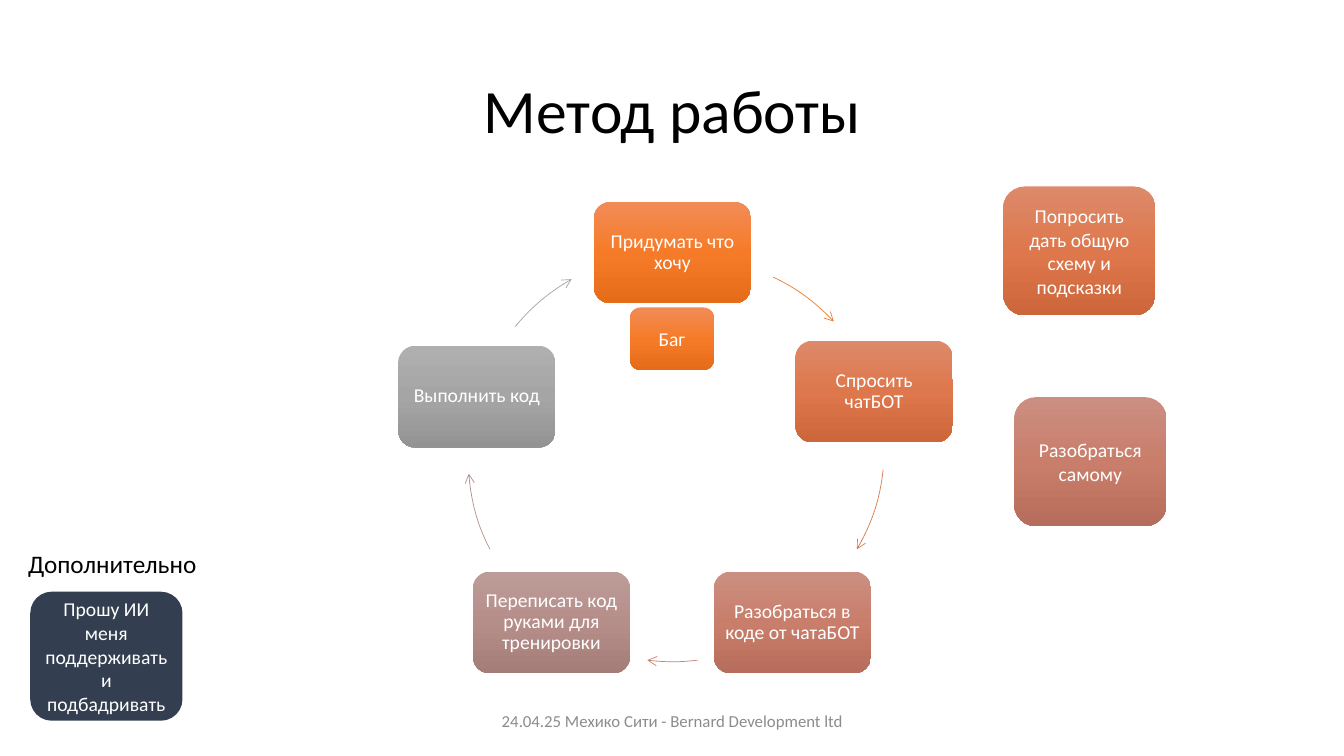
import copy
import pptx
import pptx.util
import pptx.dml.color
import pptx.enum.shapes
import pptx.enum.text
import pptx.oxml.ns
import lxml.etree

PX = 9144
RING = 406
FONT = "Calibri"
CENTER = pptx.enum.text.PP_ALIGN.CENTER
LEFT = pptx.enum.text.PP_ALIGN.LEFT
qn = pptx.oxml.ns.qn

ORANGE = ["F18C57", "F67B28", "E56C19"]
CORAL = ["DD8A6A", "DE774B", "CD673B"]
BRICK = ["CB8F81", "C97E6B", "B76D5B"]
MAUVE = ["BC9C99", "B68E89", "A47C78"]
GRAY = ["AFAFAF", "A5A5A5", "939393"]
NAVY = "333F50"

STEPS = [
    ("Придумать что хочу", 194, 0, ORANGE),
    ("Спросить чатБОТ", 394, 138, CORAL),
    ("Разобраться в коде от чатаБОТ", 313, 367, BRICK),
    ("Переписать код руками для тренировки", 74, 367, MAUVE),
    ("Выполнить код", 0, 143, GRAY),
]
ARROWS = [
    ("ED7D31", (81, 55), (291, 20), (314, 31), (334, 46), (351, 64)),
    ("D87A51", (76, 41), (405, 225), (402, 253), (393, 280), (379, 304)),
    ("C48170", (69, 51), (228, 404), (211, 406), (194, 406), (178, 404)),
    ("B4908B", (70, 52), (21, 293), (9, 270), (2, 244), (0, 218)),
    ("A5A5A5", (70, 50), (46, 74), (62, 55), (81, 39), (102, 27)),
]


def paint(hue):
    return pptx.dml.color.RGBColor.from_string(hue)


def scale(box):
    return [n * PX for n in box]


def write(shape, text, size, hue, align=CENTER, lead=None, inset=None):
    frame = shape.text_frame
    frame.word_wrap = True
    frame.vertical_anchor = pptx.enum.text.MSO_ANCHOR.MIDDLE
    if inset is not None:
        frame.margin_left = frame.margin_right = inset * PX
        frame.margin_top = frame.margin_bottom = inset * PX
    para = frame.paragraphs[0]
    para.text = text
    para.alignment = align
    if lead:
        para.line_spacing = lead
    para.font.size = pptx.util.Pt(size)
    para.font.name = FONT
    para.font.color.rgb = paint(hue)


def shade(shape, hues):
    shape.fill.gradient()
    shape.fill.gradient_angle = 270
    stops = shape._element.spPr.find(".//" + qn("a:gsLst"))
    stops.append(copy.deepcopy(stops[0]))
    for i, (stop, hue) in enumerate(zip(shape.fill.gradient_stops, hues)):
        stop.position = i / 2
        stop.color.rgb = paint(hue)


def label(slide, box, text, size, hue, **style):
    shape = slide.shapes.add_textbox(*scale(box))
    write(shape, text, size, hue, **style)


def card(slide, box, text, hues, lead=None):
    kind = pptx.enum.shapes.MSO_SHAPE.ROUNDED_RECTANGLE
    shape = slide.shapes.add_shape(kind, *scale(box))
    shape.shadow.inherit = False
    shape.line.fill.background()
    if isinstance(hues, str):
        shape.fill.solid()
        shape.fill.fore_color.rgb = paint(hues)
    else:
        shade(shape, hues)
    write(shape, text, 14, "FFFFFF", lead=lead, inset=6)


def bend(shape, dots):
    route = shape._element.spPr.find(".//" + qn("a:path"))
    for part in list(route):
        route.remove(part)
    route.set("w", str(RING))
    route.set("h", str(RING))
    for tag, group in (("a:moveTo", dots[:1]), ("a:cubicBezTo", dots[1:])):
        step = lxml.etree.SubElement(route, qn(tag))
        for x, y in group:
            lxml.etree.SubElement(step, qn("a:pt"), x=str(x), y=str(y))


def arrow(slide, box, hue, dots):
    left, top, wide, high = scale(box)
    draft = slide.shapes.build_freeform(left, top)
    draft.add_line_segments([(left + wide, top + high)], close=False)
    shape = draft.convert_to_shape()
    bend(shape, dots)
    shape.shadow.inherit = False
    shape.fill.background()
    shape.line.color.rgb = paint(hue)
    shape.line.width = pptx.util.Pt(0.5)
    line = shape._element.spPr.find(qn("a:ln"))
    lxml.etree.SubElement(line, qn("a:tailEnd"), type="arrow")


def cycle(slide, box):
    left, top, wide, high = box
    for text, x, y, hues in STEPS:
        card(slide, (left + x, top + y, 156, 101), text, hues, 0.9)
    for hue, (x, y), *dots in ARROWS:
        arrow(slide, (left + x, top + y, RING, RING), hue, dots)
    card(slide, (left + wide // 2 - 45, top + 105, 83, 62), "Баг", ORANGE)


def hints(slide, box):
    left, top, wide, high = box
    card(slide, (left, top, 151, 128), "Попросить дать общую схему и подсказки", CORAL)
    card(slide, (left + 11, top + 209, 151, 128), "Разобраться самому", BRICK)


def extra(slide, box):
    left, top, wide, high = box
    card(slide, (left + 12, top + 48, 151, 128),
         "Прошу ИИ меня поддерживать и подбадривать", NAVY)
    label(slide, (left, top, wide, 40), "Дополнительно", 18, "000000", align=LEFT)


def main():
    deck = pptx.Presentation()
    deck.slide_width, deck.slide_height = scale((1333, 750))
    slide = deck.slides.add_slide(deck.slide_layouts[6])
    label(slide, (92, 40, 1150, 145), "Метод работы", 44, "000000", lead=0.9)
    cycle(slide, (395, 200, 550, 468))
    label(slide, (442, 695, 450, 40),
          "24.04.25 Мехико Сити - Bernard Development ltd", 12, "8C8C8C")
    hints(slide, (995, 185, 162, 337))
    extra(slide, (18, 539, 189, 176))
    deck.save("out.pptx")


if __name__ == "__main__":
    main()
